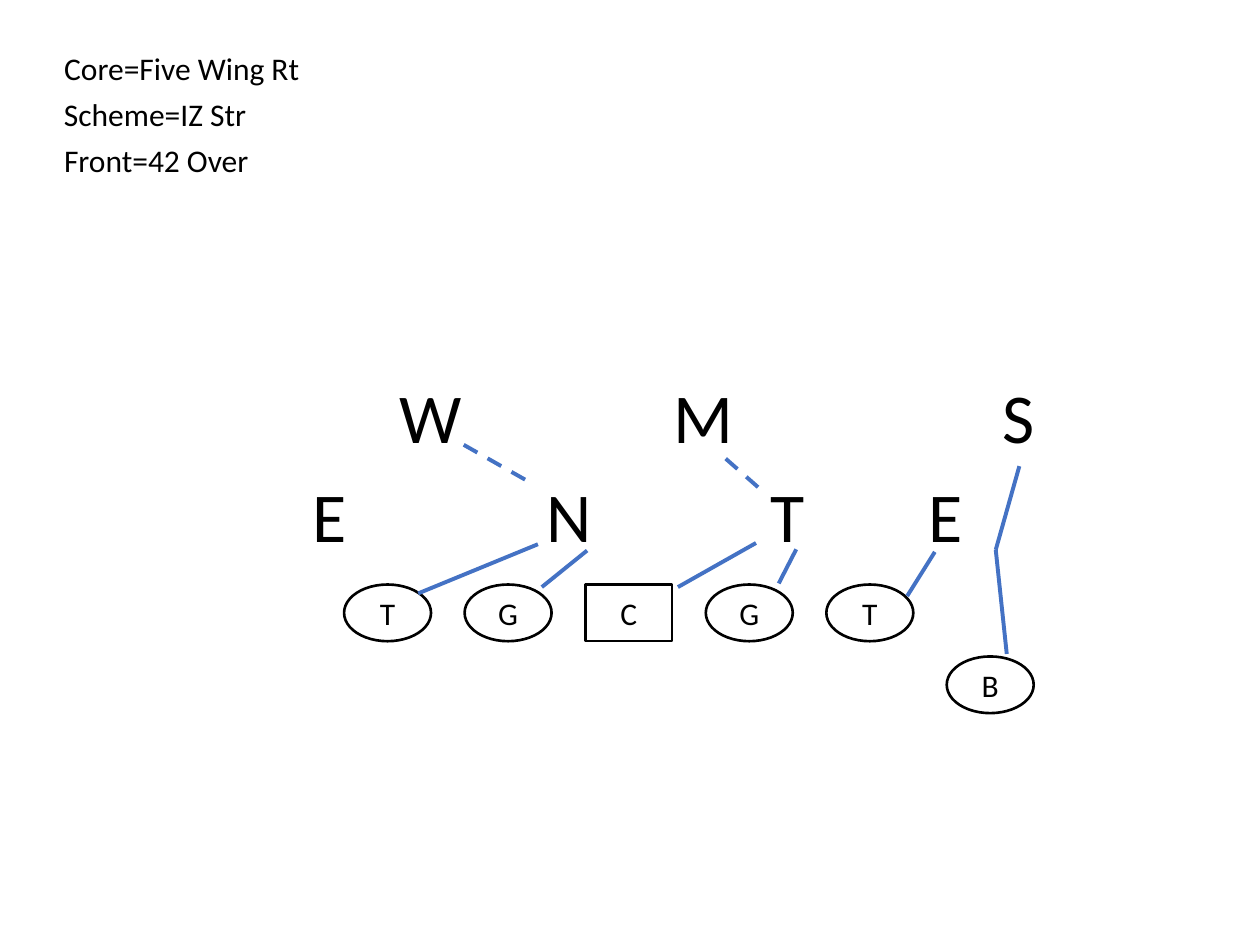
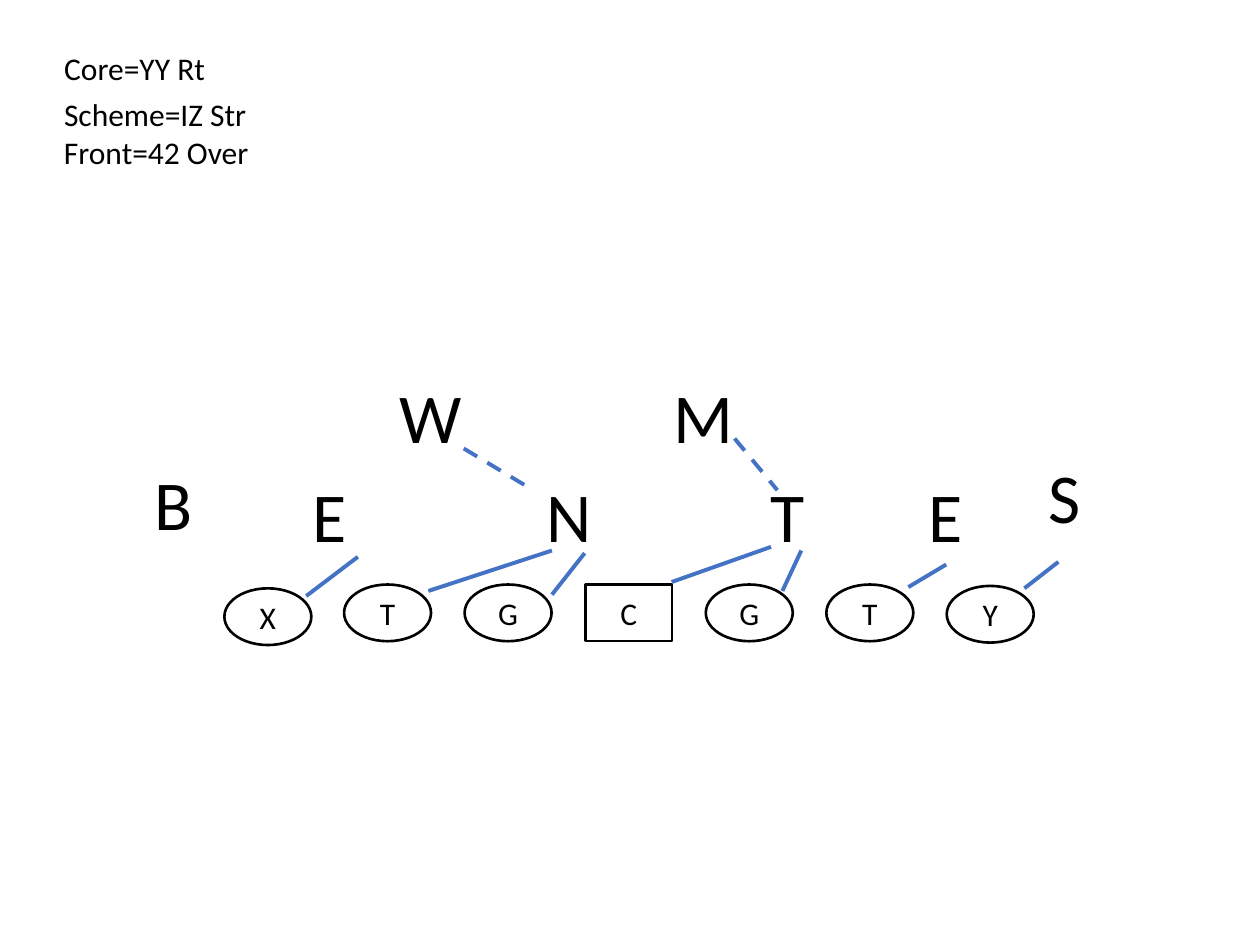
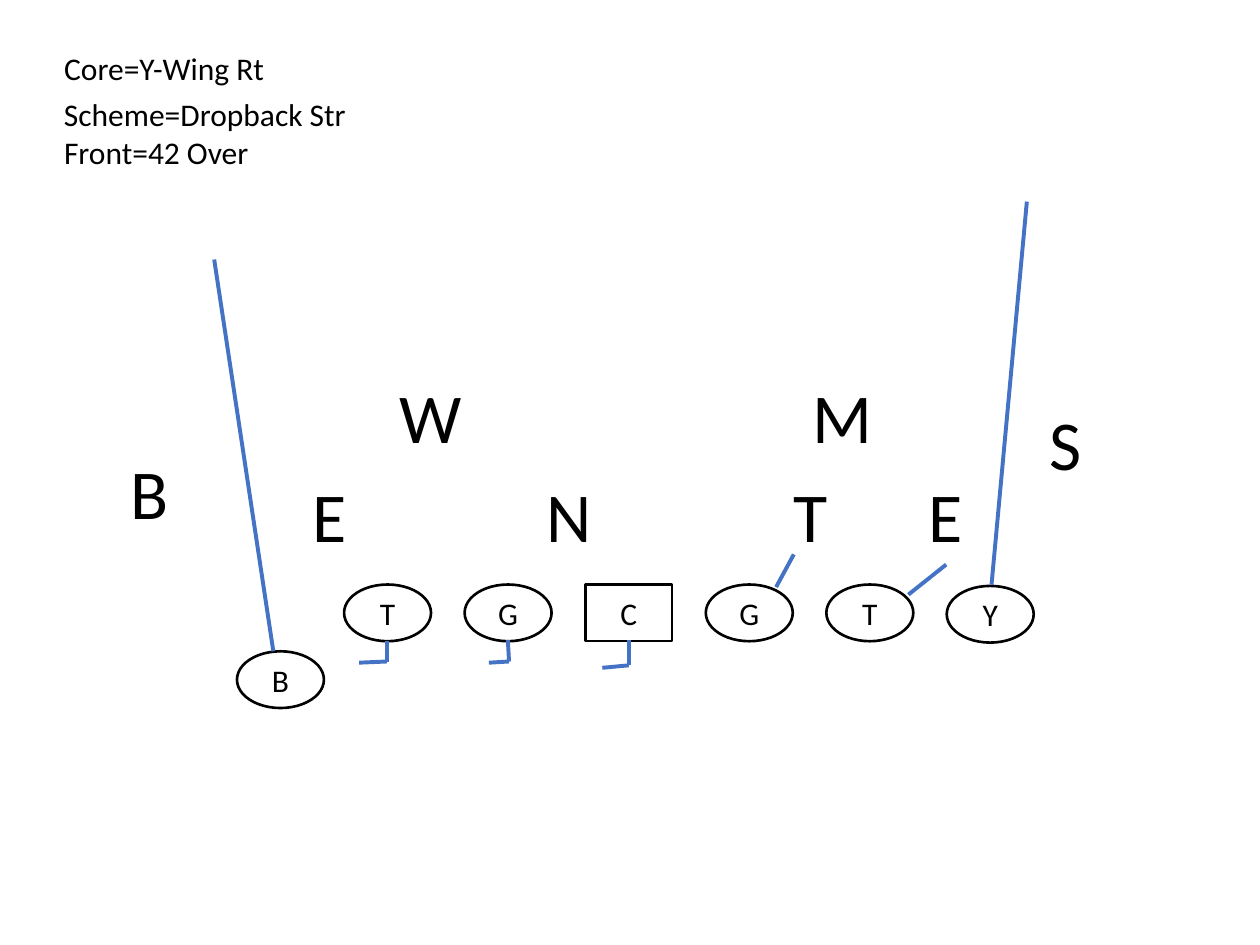
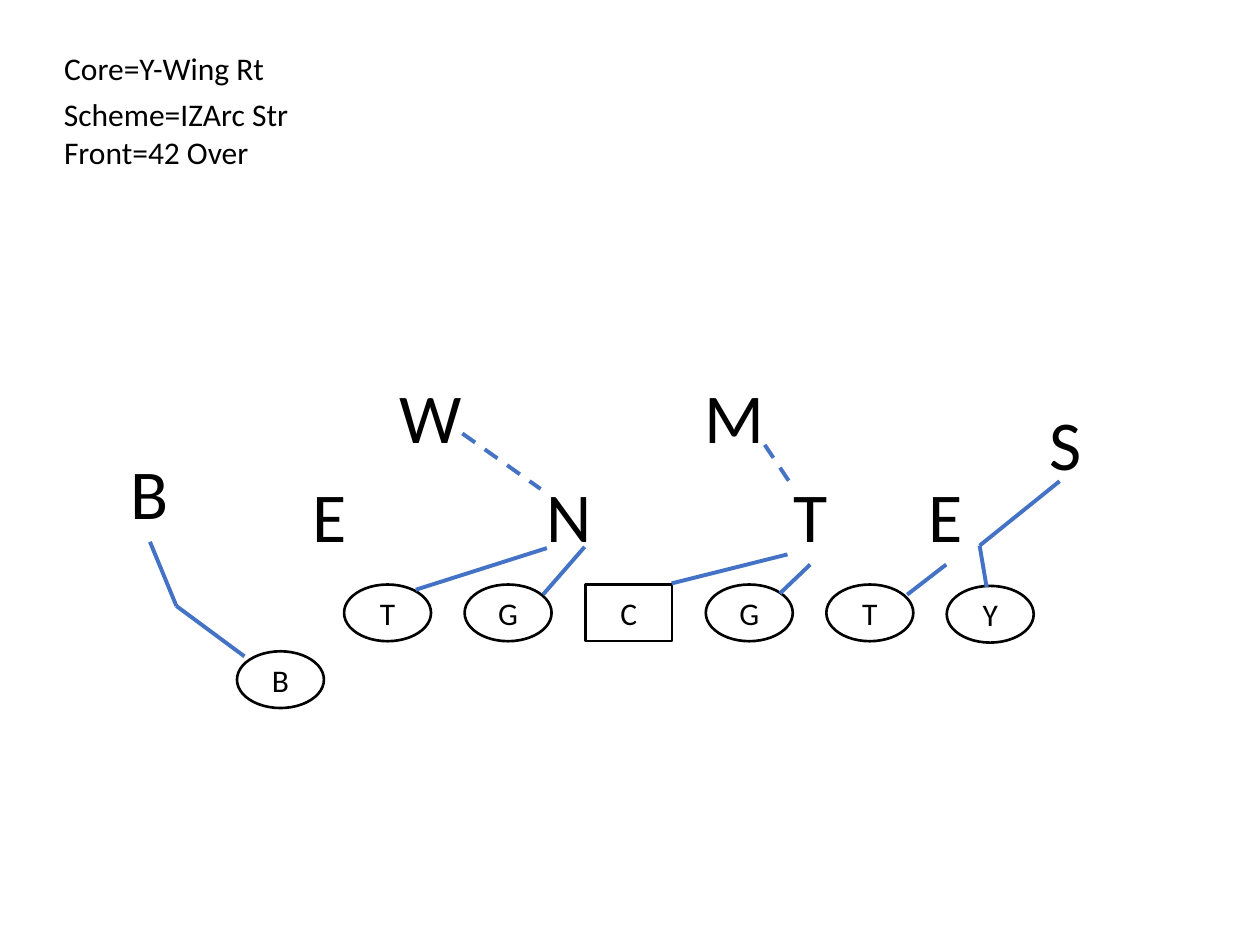
from itertools import pairwise

from lxml import etree
from pptx import Presentation
from pptx import util as u
from pptx.dml.color import RGBColor
from pptx.enum import dml, shapes, text
from pptx.oxml.ns import qn

COLORS = {"ink": "000000", "paper": "FFFFFF", "block": "4472C4"}
FONT = "Calibri"
SLIDE_SIZE = (720, 540)

# Regions: left, top
CALL_BOX = (29.5, 24.5)
FIELD_BOX = (60, 110)

# Offensive line: equal slots counted from the left tackle
FIRST_SLOT, SLOT_PITCH, LINE_Y = 136.6, 68.9, 224
PLAYER_SIZE = (49.7, 32.4)
LINEMEN = "TGCGT"

# Defenders shared by every play: letter, x, y within the field
DEFENDER_WIDTH = {"N": 40.3, "T": 34.6, "E": 34.6, "W": 50.4, "M": 50.4, "S": 34, "B": 36.7}
DEFENDER_HEIGHT = 55.4
FRONT_Y, BACKER_Y = 156.4, 100.2
BASE_DEFENSE = [("N", 245.3, FRONT_Y), ("E", 463.4, FRONT_Y),
                ("E", 111.4, FRONT_Y), ("W", 161, BACKER_Y)]

TEXT_FRAME = {"word_wrap": False, "auto_size": text.MSO_AUTO_SIZE.SHAPE_TO_FIT_TEXT,
              "vertical_anchor": text.MSO_ANCHOR.TOP}
PLAYER_FRAME = {"vertical_anchor": text.MSO_ANCHOR.MIDDLE}

WING_Y = [("Y", 481, 224.8), ("B", 75.4, 262.2)]
WING_DEFENSE = [("T", 386.4, FRONT_Y), ("S", 532.6, 115.4), ("B", 7.7, 143.4)]

# calls: wording and width; solid and dashed: paths of points within the field
PLAYS = [
    {"calls": [("Core=Five Wing Rt", 150.5), ("Scheme=IZ Str", 119.5), ("Front=42 Over", 121)],
     "front_y": 52.5,
     "extras": [("B", 481, 265.1)],
     "defense": [("T", 373.4, FRONT_Y), ("M", 318, BACKER_Y), ("S", 505.9, BACKER_Y)],
     "solid": [[(179, 229.1), (247.4, 201)], [(275.5, 204.6), (249.6, 225.5)],
               [(372, 200.3), (327.4, 225.5)], [(395, 203.9), (385, 223.4)],
               [(474.2, 205.4), (458.4, 230.6)],
               [(515.3, 263.7), (509, 204.2), (522.5, 156.4)]],
     "dashed": [[(205, 144.2), (243.1, 165.8)], [(354.7, 152.1), (373.4, 168.6)]]},
    {"calls": [("Core=YY Rt", 95.8), ("Scheme=IZ Str", 123.8), ("Front=42 Over", 125.3)],
     "front_y": 48.2,
     "extras": [("Y", 481, 224.8), ("X", 68.2, 226.2)],
     "defense": [("T", 373.4, FRONT_Y), ("M", 318, BACKER_Y),
                 ("S", 531.8, 145.6), ("B", 21.4, 149.9)],
     "solid": [[(544.8, 211.1), (525.4, 226.2)], [(480.7, 212.6), (459.1, 225.5)],
               [(397.9, 204.6), (387.1, 227.7)], [(380.6, 202.5), (323.8, 222.6)],
               [(274.1, 206.1), (255.4, 229.8)], [(255.4, 204.6), (184.8, 227.7)],
               [(144.5, 208.2), (115, 230.6)]],
     "dashed": [[(359.8, 140.6), (384.2, 170.1)], [(205, 146.3), (241, 167.9)]]},
    {"calls": [("Core=Y-Wing Rt", 131), ("Scheme=Dropback Str", 177.1), ("Front=42 Over", 121)],
     "front_y": 48.2,
     "extras": WING_Y,
     "defense": WING_DEFENSE + [("M", 397.2, BACKER_Y)],
     "solid": [[(393.6, 206.8), (383.5, 225.5)], [(480.7, 212.6), (459.1, 229.8)],
               [(299.3, 255.8), (299.3, 270.2), (284.2, 271.6)],
               [(230.2, 255.8), (230.9, 268), (219.4, 268.7)],
               [(161, 256.5), (161, 268), (145.2, 268.7)],
               [(526.8, 5.2), (506.6, 224.1)], [(62.4, 38.3), (96.2, 262.2)]],
     "dashed": []},
    {"calls": [("Core=Y-Wing Rt", 131), ("Scheme=IZArc Str", 144), ("Front=42 Over", 121)],
     "front_y": 48.2,
     "extras": WING_Y,
     "defense": WING_DEFENSE + [("M", 335.3, BACKER_Y)],
     "solid": [[(480.7, 212.6), (458.4, 229.8)],
               [(503.8, 225.5), (499.8, 201.8), (545.5, 165)],
               [(403, 212.6), (385.7, 229.1)], [(323.8, 223.4), (390, 206.8)],
               [(274.1, 202.5), (250.3, 229.8)], [(252.5, 203.2), (177.6, 227)],
               [(25.7, 199.6), (40.8, 236.3), (79.7, 265.1)]],
     "dashed": [[(377, 144.2), (394.3, 170.1)], [(204.2, 137.7), (248.9, 169.4)]]},
]


def color(name):
    return RGBColor.from_string(COLORS[name])


def set_all(target, values):
    for key, value in values.items():
        setattr(target, key, value)


def place(shape, x, y, width, height):
    set_all(shape, {"left": u.Pt(x), "top": u.Pt(y),
                    "width": u.Pt(width), "height": u.Pt(height)})


def write(shape, wording, size, frame, align=text.PP_ALIGN.LEFT):
    set_all(shape.text_frame, frame)
    paragraph = shape.text_frame.paragraphs[0]
    paragraph.alignment = align
    run = paragraph.add_run()
    run.text = wording
    set_all(run.font, {"name": FONT, "size": u.Pt(size)})
    run.font.color.rgb = color("ink")


def add_label(slide, wording, size, x, y, width, height):
    label = slide.shapes.add_textbox(*map(u.Pt, (x, y, width, height)))
    write(label, wording, size, TEXT_FRAME)


def add_player(slide, letter, x, y):
    outline = shapes.MSO_SHAPE.RECTANGLE if letter == "C" else shapes.MSO_SHAPE.OVAL
    player = slide.shapes.add_shape(outline, *map(u.Pt, (x, y, *PLAYER_SIZE)))
    player.shadow.inherit = False
    player.fill.solid()
    player.fill.fore_color.rgb = color("paper")
    player.line.color.rgb = color("ink")
    player.line.width = u.Pt(1.5)
    write(player, letter, 18, PLAYER_FRAME, text.PP_ALIGN.CENTER)


def add_path(slide, points, left, top, dashed):
    for (x1, y1), (x2, y2) in pairwise(points):
        ends = (left + x1, top + y1, left + x2, top + y2)
        segment = slide.shapes.add_connector(shapes.MSO_CONNECTOR.STRAIGHT, *map(u.Pt, ends))
        segment.line.color.rgb = color("block")
        segment.line.width = u.Pt(2.25)
        if dashed:
            segment.line.dash_style = dml.MSO_LINE.DASH
        etree.SubElement(segment._element.spPr, qn("a:effectLst"))


def draw_calls(slide, box, play):
    left, top = box
    (core, core_width), (scheme, scheme_width), (front, front_width) = play["calls"]
    title = slide.shapes.title
    place(title, left, top, core_width, 29)
    write(title, core, 18, TEXT_FRAME)
    add_label(slide, scheme, 18, left, top + 26.5, scheme_width, 29)
    add_label(slide, front, 18, left, top + play["front_y"], front_width, 29)


def draw_field(slide, box, play):
    left, top = box
    # Offense
    line = [(letter, FIRST_SLOT + slot * SLOT_PITCH, LINE_Y)
            for slot, letter in enumerate(LINEMEN)]
    for letter, x, y in line + play["extras"]:
        add_player(slide, letter, left + x, top + y)
    # Defense
    for letter, x, y in BASE_DEFENSE + play["defense"]:
        add_label(slide, letter, 40, left + x, top + y,
                  DEFENDER_WIDTH[letter], DEFENDER_HEIGHT)
    # Blocks and routes
    for style in ("solid", "dashed"):
        for points in play[style]:
            add_path(slide, points, left, top, style == "dashed")


def main():
    deck = Presentation()
    deck.slide_width, deck.slide_height = map(u.Pt, SLIDE_SIZE)
    title_only = deck.slide_layouts.get_by_name("Title Only")
    for play in PLAYS:
        slide = deck.slides.add_slide(title_only)
        draw_calls(slide, CALL_BOX, play)
        draw_field(slide, FIELD_BOX, play)
    deck.save("out.pptx")


if __name__ == "__main__":
    main()
